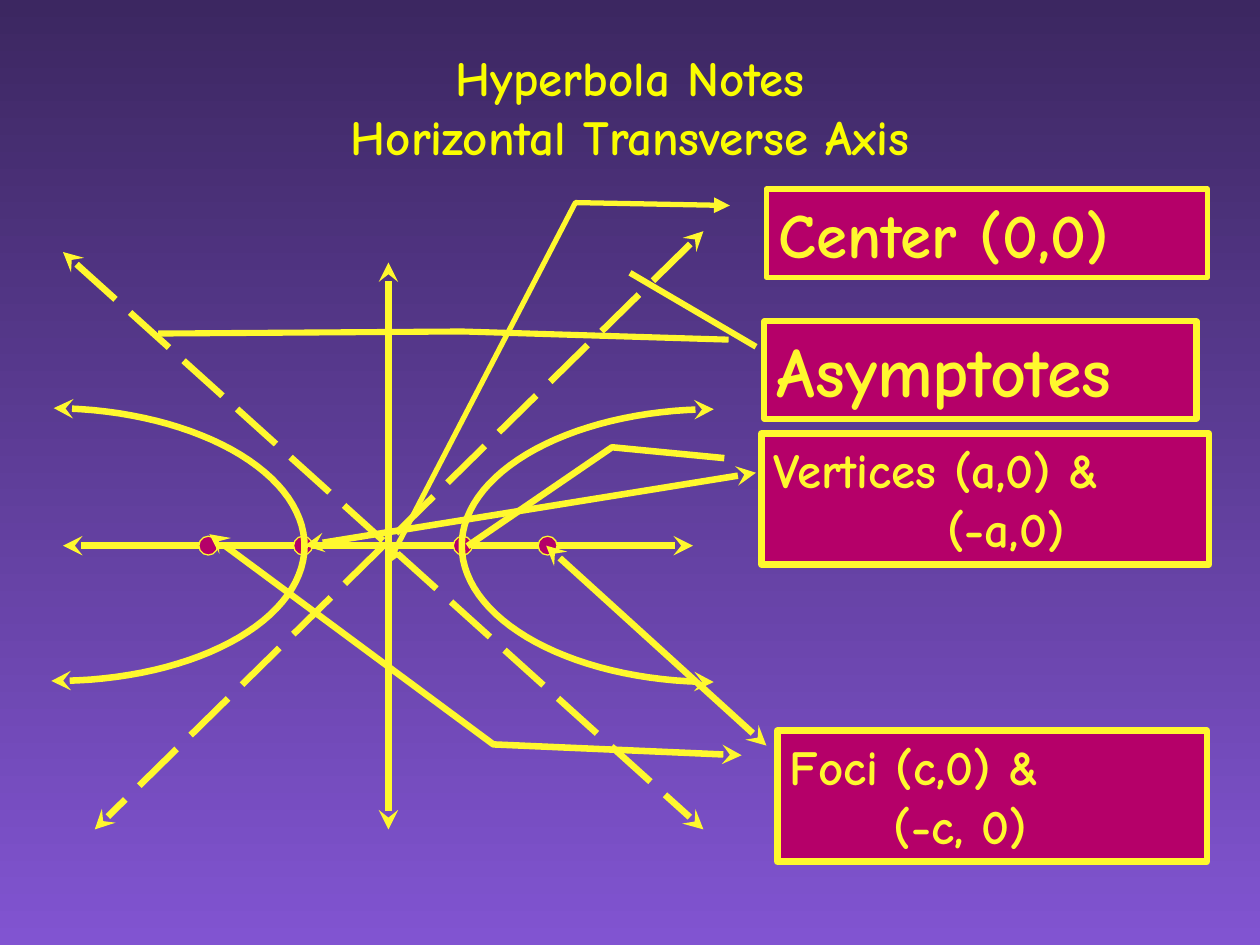
import math

from lxml import etree
from pptx import Presentation
from pptx.dml.color import RGBColor
from pptx.enum.dml import MSO_LINE
from pptx.enum.shapes import MSO_CONNECTOR, MSO_SHAPE
from pptx.enum.text import MSO_ANCHOR, MSO_AUTO_SIZE, PP_ALIGN
from pptx.oxml.ns import qn
from pptx.util import Cm, Pt

STRAIGHT = MSO_CONNECTOR.STRAIGHT
CALLOUT = MSO_SHAPE.LINE_CALLOUT_2
OVAL = MSO_SHAPE.OVAL
LONG_DASH = MSO_LINE.LONG_DASH
TOP, MIDDLE = MSO_ANCHOR.TOP, MSO_ANCHOR.MIDDLE
LEFT, CENTER = PP_ALIGN.LEFT, PP_ALIGN.CENTER
GROW = MSO_AUTO_SIZE.SHAPE_TO_FIT_TEXT

FONT = "Comic Neue"
COLORS = {
    "top": "3C2761",
    "bottom": "8154D1",
    "title": "FAFD00",
    "line": "FFF82E",
    "fill": "B50069",
}


def color(name):
    return RGBColor.from_string(COLORS[name])


class NotesSlide:
    """Holds the slide and its style; all lengths are in centimetres."""

    def __init__(self, slide):
        self.slide = slide
        self.shapes = slide.shapes

    def background(self):
        fill = self.slide.background.fill
        fill.gradient()
        fill.gradient_angle = 270
        for stop, name, position in zip(fill.gradient_stops, ("top", "bottom"), (0, 1)):
            stop.color.rgb = color(name)
            stop.position = position

    def outline(self, shape, width, arrow=None):
        """Set the line, with the same arrowhead at both ends if one is given."""
        shape.line.color.rgb = color("line")
        shape.line.width = Pt(width)
        if arrow:
            line = shape.line._get_or_add_ln()
            for end in ("a:headEnd", "a:tailEnd"):
                etree.SubElement(line, qn(end), type=arrow)

    def set_text(self, shape, text, size, color_name, align, anchor):
        frame = shape.text_frame
        frame.word_wrap = True
        frame.vertical_anchor = anchor
        frame.text = text
        for paragraph in frame.paragraphs:
            paragraph.alignment = align
            for run in paragraph.runs:
                run.font.name = FONT
                run.font.size = Pt(size)
                run.font.bold = True
                run.font.color.rgb = color(color_name)
        return frame

    def title(self, text, left, top, width, height):
        box = self.shapes.add_textbox(Cm(left), Cm(top), Cm(width), Cm(height))
        self.set_text(box, text, 28, "title", CENTER, MIDDLE)

    def line(self, start, end, width=3.75, arrow="stealth", dash=None):
        connector = self.shapes.add_connector(STRAIGHT, *map(Cm, start + end))
        if dash:
            connector.line.dash_style = dash
        self.outline(connector, width, arrow)
        etree.SubElement(connector._element.spPr, qn("a:effectLst"))

    def solid(self, kind, left, top, width, height):
        shape = self.shapes.add_shape(kind, Cm(left), Cm(top), Cm(width), Cm(height))
        shape.shadow.inherit = False
        shape.fill.solid()
        shape.fill.fore_color.rgb = color("fill")
        return shape

    def point(self, x, y, size=0.38):
        dot = self.solid(OVAL, x - size / 2, y - size / 2, size, size)
        self.outline(dot, 0.75)

    def branch(self, vertex, y, reach, half_height, rotation=0):
        """Draw half an ellipse; a negative reach opens it to the left."""
        steps = 60
        angles = [math.pi * step / steps for step in range(steps + 1)]
        points = [
            (Cm(vertex + reach * (1 - math.sin(angle))), Cm(y - half_height * math.cos(angle)))
            for angle in angles
        ]
        builder = self.shapes.build_freeform(*points[0])
        builder.add_line_segments(points[1:], close=False)
        curve = builder.convert_to_shape()
        curve.shadow.inherit = False
        curve.fill.background()
        curve.rotation = rotation
        self.outline(curve, 3.75, "stealth")

    def callout(self, text, box, size, leader, width=3.75, arrow=None, indent=0):
        """Draw a label; leader gives its bend and tip as y, x shares of the box."""
        shape = self.solid(CALLOUT, *box)
        for index, value in enumerate((0.188, -0.083) + leader):
            shape.adjustments[index] = value
        self.outline(shape, width, arrow)
        frame = self.set_text(shape, text, size, "line", LEFT, TOP)
        frame.auto_size = GROW
        for paragraph in frame.paragraphs[1:]:
            paragraph._p.get_or_add_pPr().set("marL", str(Cm(indent)))


def main():
    presentation = Presentation()
    presentation.slide_width = Cm(25.4)
    presentation.slide_height = Cm(19.05)
    notes = NotesSlide(presentation.slides.add_slide(presentation.slide_layouts[6]))
    notes.background()
    notes.title("Hyperbola Notes\vHorizontal Transverse Axis", 1.9, 1.12, 21.6, 2.06)

    center_x, center_y = 7.83, 11
    notes.line((center_x, 5.29), (center_x, 16.72))
    notes.line((1.27, center_y), (13.97, center_y))
    for x in (9.33, 6.11, 11.04, 4.2):
        notes.point(x, center_y)
    notes.branch(9.31, center_y, 5.08, 2.75)
    notes.branch(6.14, center_y, -5.08, 2.75, rotation=0.5)

    notes.callout("Center (0,0)", (15.45, 3.81, 8.89, 1.78), 36,
                  (0.155, -0.433, 4.25, -0.859), width=3, arrow="triangle")
    notes.callout("Vertices (a,0) &\n(-a,0)", (15.35, 8.74, 9.02, 2.64), 28,
                  (0.105, -0.334, 0.86, -0.657), indent=3.5)
    notes.line((6.14, center_y), (15.24, 9.53))
    notes.callout("Foci (c,0) &\n(-c, 0)", (15.67, 14.73, 8.66, 2.64), 28,
                  (0.105, -0.661, -1.5, -1.322), arrow="stealth", indent=2.1)
    notes.line((11.01, center_y), (15.45, 15.03))

    notes.line((1.27, 5.08), (14.18, 16.72), dash=LONG_DASH)
    notes.line((14.18, 4.66), (1.91, 16.72), dash=LONG_DASH)
    notes.callout("Asymptotes", (15.41, 6.48, 8.71, 1.96), 40,
                  (0.104, -0.7, 0.125, -1.403), width=3.5)
    notes.line((12.7, 5.5), (15.24, 6.99), width=3.5, arrow=None)

    presentation.save("out.pptx")


if __name__ == "__main__":
    main()
